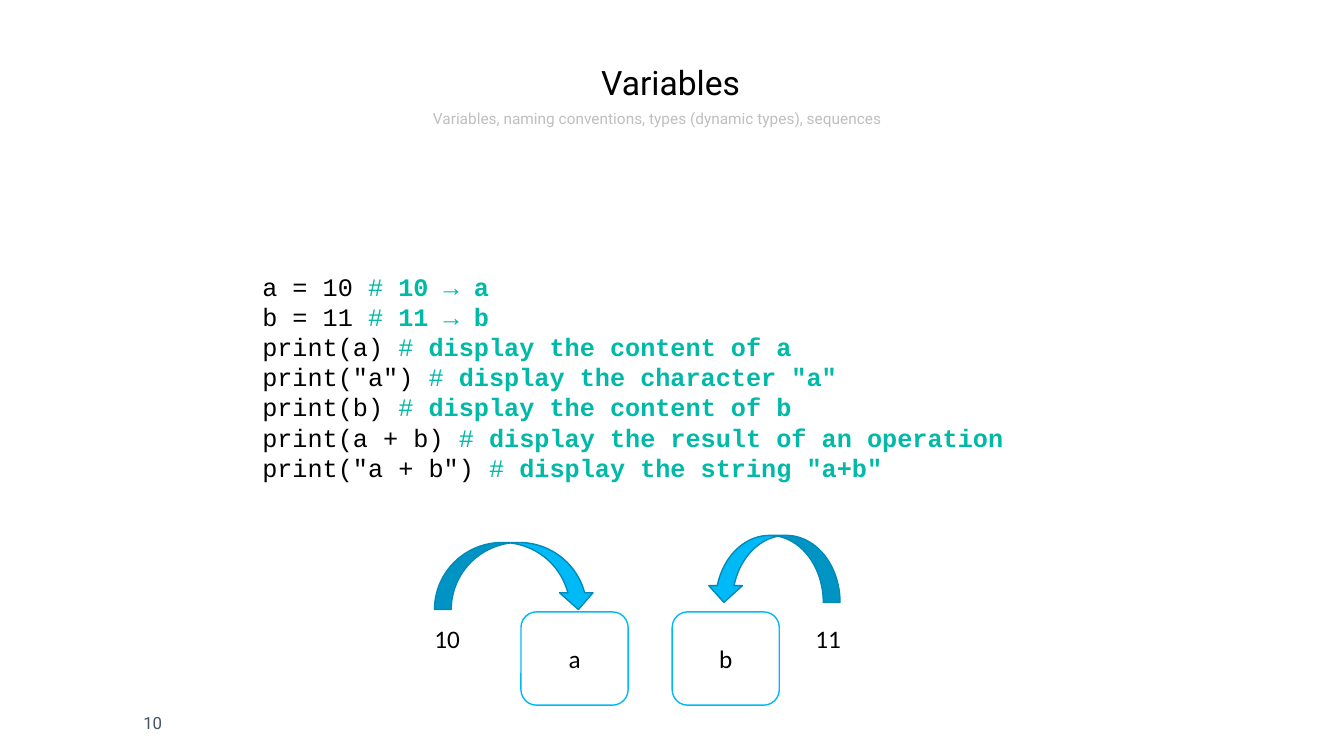
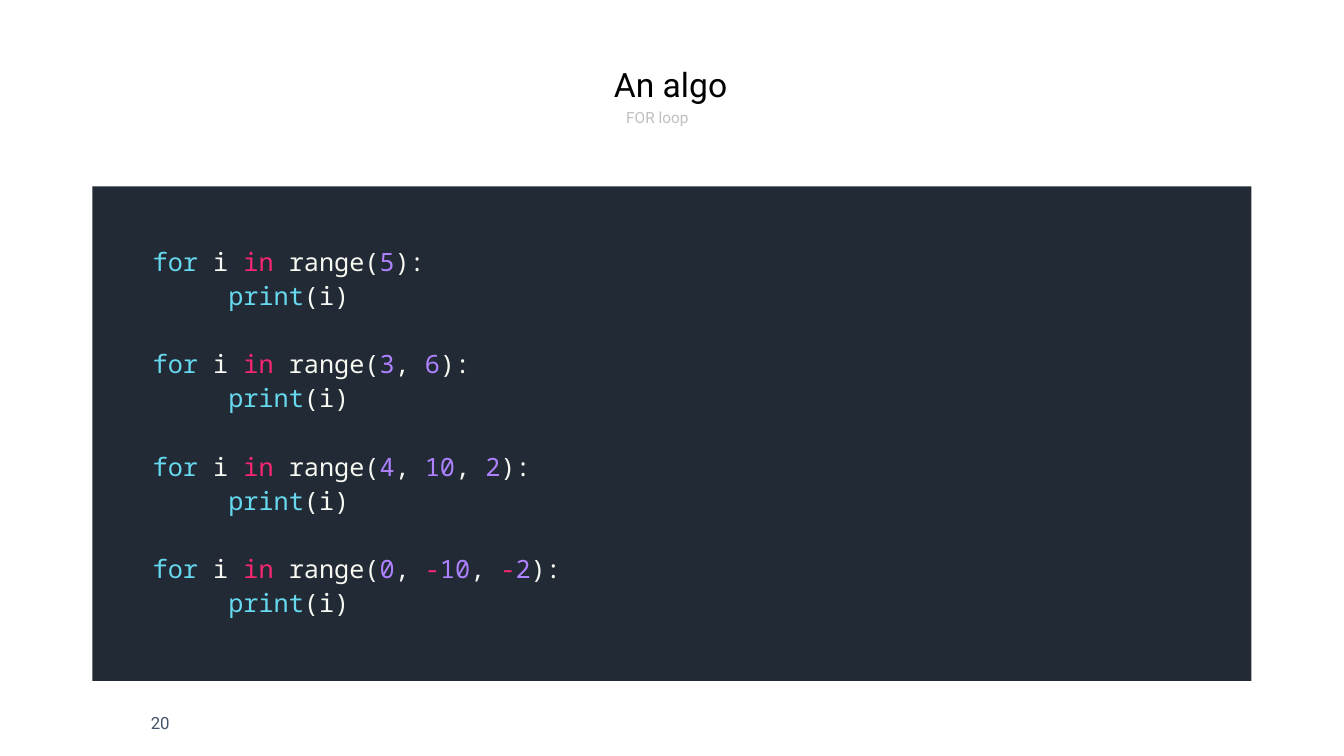
from dataclasses import dataclass
from pptx import Presentation
from pptx import util as u
from pptx.dml.color import RGBColor
from pptx.enum import shapes, text


@dataclass(frozen=True)
class Theme:
    # Colours
    ink: str = "000000"
    paper: str = "FFFFFF"
    soft: str = "BFBFBF"
    slate: str = "44546A"
    note: str = "00B9A7"
    sky: str = "00BAF7"
    edge: str = "008AB7"
    panel: str = "222A35"
    key: str = "66D9EF"
    plain: str = "F8F8F2"
    sign: str = "F92672"
    digit: str = "AE81FF"
    # Fonts
    head: str = "Roboto"
    body: str = "Calibri"
    code: str = "Courier New"
    mono: str = "Noto Sans Mono"
    # Type sizes
    big: int = 24
    mid: int = 18
    small: int = 12
    tiny: int = 11


T = Theme()
KIND = shapes.MSO_SHAPE
MID = text.MSO_ANCHOR.MIDDLE
CENTER = text.PP_ALIGN.CENTER
LEFT = text.PP_ALIGN.LEFT


def rgb(tone):
    return RGBColor.from_string(tone)


def place(box):
    return [u.Cm(v) for v in box]


# Text helpers
def style(par, font, size, tone=None, align=LEFT):
    par.alignment = align
    par.font.name, par.font.size = font, u.Pt(size)
    if tone:
        par.font.color.rgb = rgb(tone)


def add_runs(par, runs):
    for words, tone, bold in runs:
        run = par.add_run()
        run.text = words
        run.font.color.rgb = rgb(tone)
        if bold:
            run.font.bold = True


def label(slide, box, words, font, size, tone, align=LEFT, wrap=True):
    frame = slide.shapes.add_textbox(*place(box)).text_frame
    frame.word_wrap = wrap
    par = frame.paragraphs[0]
    par.text = words
    style(par, font, size, tone, align)
    return frame


def block(slide, kind, box, fill, line=None):
    shape = slide.shapes.add_shape(kind, *place(box))
    shape.shadow.inherit = False
    shape.fill.solid()
    shape.fill.fore_color.rgb = rgb(fill)
    if line:
        shape.line.color.rgb = rgb(line)
        shape.line.width = u.Pt(1)
    else:
        shape.line.fill.background()
    return shape


# Footer band, title, subtitle and page number
def frame_page(deck, title, sub, page, top, sub_top, width):
    slide = deck.slides.add_slide(deck.slide_layouts[6])
    block(slide, KIND.RECTANGLE, (1.35, 17.12, 7.44, 1.96),
          T.paper, T.paper)
    head = label(slide, (10.04, top, 13.72, 1.6), title,
                 T.head, T.big, T.ink, CENTER)
    head.paragraphs[0].line_spacing = 1.5
    under = label(slide, (10.04, sub_top, 13.06, 1.35), sub,
                  T.head, T.tiny, T.soft, CENTER)
    under.vertical_anchor = MID
    label(slide, (3.19, 17.83, width, 0.76), page,
          T.head, T.small, T.slate, CENTER)
    return slide


# Code with highlighted comments
def listing(slide, box, lines):
    frame = slide.shapes.add_textbox(*place(box)).text_frame
    frame.word_wrap = True
    for n, (code, note) in enumerate(lines):
        par = frame.add_paragraph() if n else frame.paragraphs[0]
        style(par, T.code, T.mid)
        add_runs(par, [(code + " ", T.ink, False), ("# ", T.note, False),
                       (note, T.note, True)])


# Values moving into named boxes
def diagram(slide, left, top):
    for n, name in enumerate("ab"):
        cell = block(slide, KIND.ROUNDED_RECTANGLE,
                     (left + 2.43 + 3.81 * n, top + 1.93, 2.7, 2.35),
                     T.paper, T.sky)
        cell.text_frame.vertical_anchor = MID
        par = cell.text_frame.paragraphs[0]
        par.text = name
        style(par, T.body, T.mid, T.ink, CENTER)
    for value, dx in (("10", 0), ("11", 9.6)):
        label(slide, (left + dx, top + 2.08, 1.17, 1.02), value,
              T.body, T.mid, T.ink, wrap=False)
    for kind, dx, dy, width, turn in (
            (KIND.CURVED_DOWN_ARROW, 0.25, 0.18, 4.05, 0),
            (KIND.CURVED_UP_ARROW, 7.12, 0, 3.35, 180)):
        arrow = block(slide, kind, (left + dx, top + dy, width, 1.69),
                      T.sky, T.edge)
        arrow.rotation = turn


# Coloured runs of one loop header
def loop_runs(args):
    runs = [("for", T.key, False), (" i ", T.plain, False),
            ("in", T.sign, False), (" range(", T.plain, False)]
    for n, arg in enumerate(args):
        if n:
            runs.append((", ", T.plain, False))
        if arg < 0:
            runs.append(("-", T.sign, False))
        runs.append((str(abs(arg)), T.digit, False))
    return runs + [("):", T.plain, False)]


# Dark panel of loops
def loops(slide, box, ranges):
    frame = block(slide, KIND.RECTANGLE, box, T.panel).text_frame
    frame.word_wrap = True
    frame.vertical_anchor = MID
    body = [("     ", T.plain, False), ("print", T.key, False),
            ("(i)", T.plain, False)]
    rows = [row for args in ranges for row in (loop_runs(args), body)]
    for n, runs in enumerate(rows):
        par = frame.add_paragraph() if n else frame.paragraphs[0]
        par._p.get_or_add_pPr().set("marL", str(u.Cm(1.27)))
        style(par, T.mono, T.mid)
        par.line_spacing = 0.9
        if n:
            par.space_before = u.Pt(5 if n % 2 else 29.3)
        add_runs(par, runs)


def main():
    deck = Presentation()
    deck.slide_width, deck.slide_height = u.Cm(33.87), u.Cm(19.05)

    slide = frame_page(
        deck, "Variables",
        "Variables, naming conventions, types (dynamic types), sequences",
        "10", 0.94, 2.31, 1.32)
    listing(slide, (6.36, 6.7, 21.08, 6.4), [
        ("a = 10", "10 → a"),
        ("b = 11", "11 → b"),
        ("print(a)", "display the content of a"),
        ('print("a")', 'display the character "a"'),
        ("print(b)", "display the content of b"),
        ("print(a + b)", "display the result of an operation"),
        ('print("a + b")', 'display the string "a+b"')])
    diagram(slide, 10.7, 13.49)

    slide = frame_page(deck, "An algo", "FOR loop", "20", 0.99, 2.29, 1.7)
    loops(slide, (2.33, 4.7, 29.21, 12.46),
          [(5,), (3, 6), (4, 10, 2), (0, -10, -2)])

    deck.save("out.pptx")


if __name__ == "__main__":
    main()
